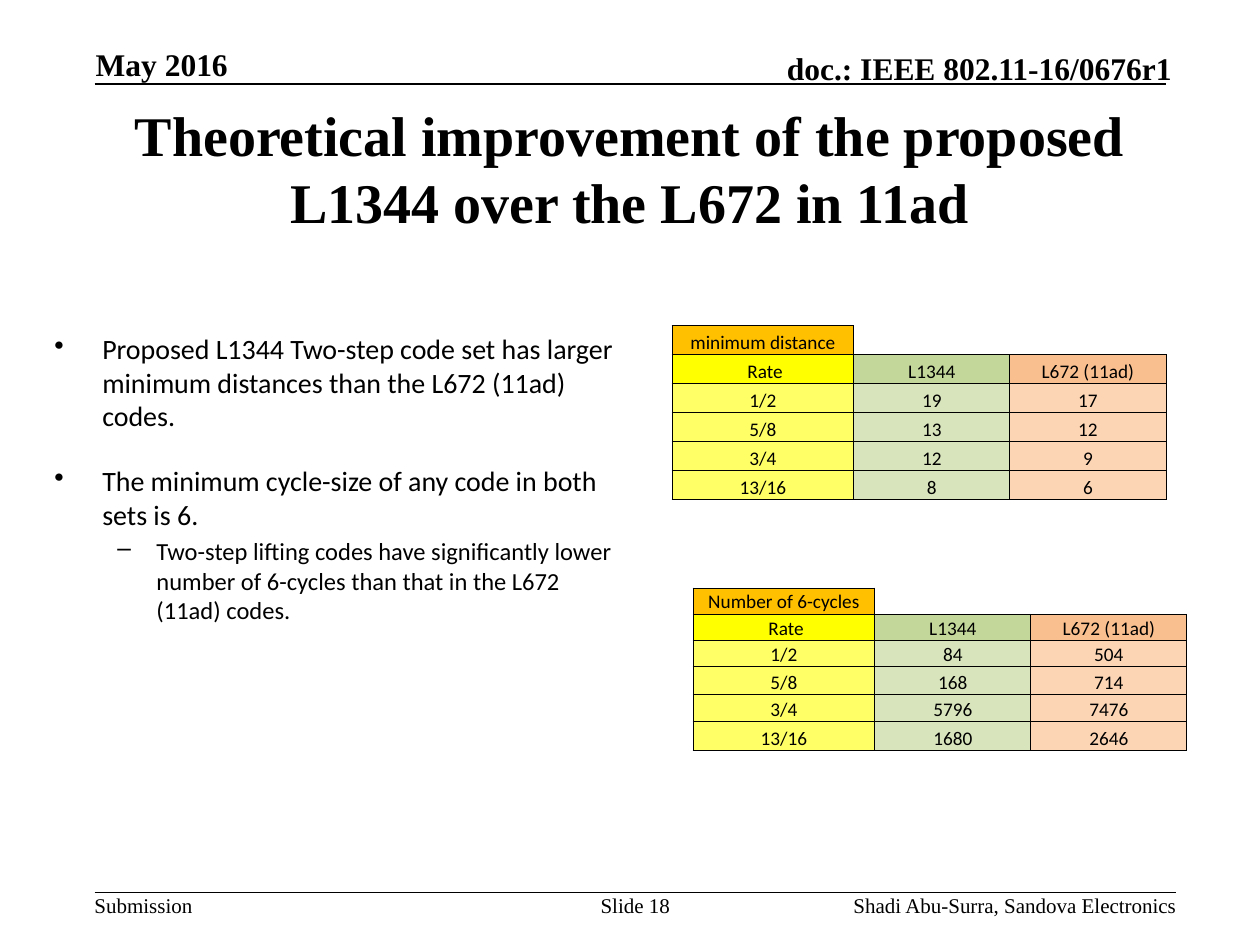
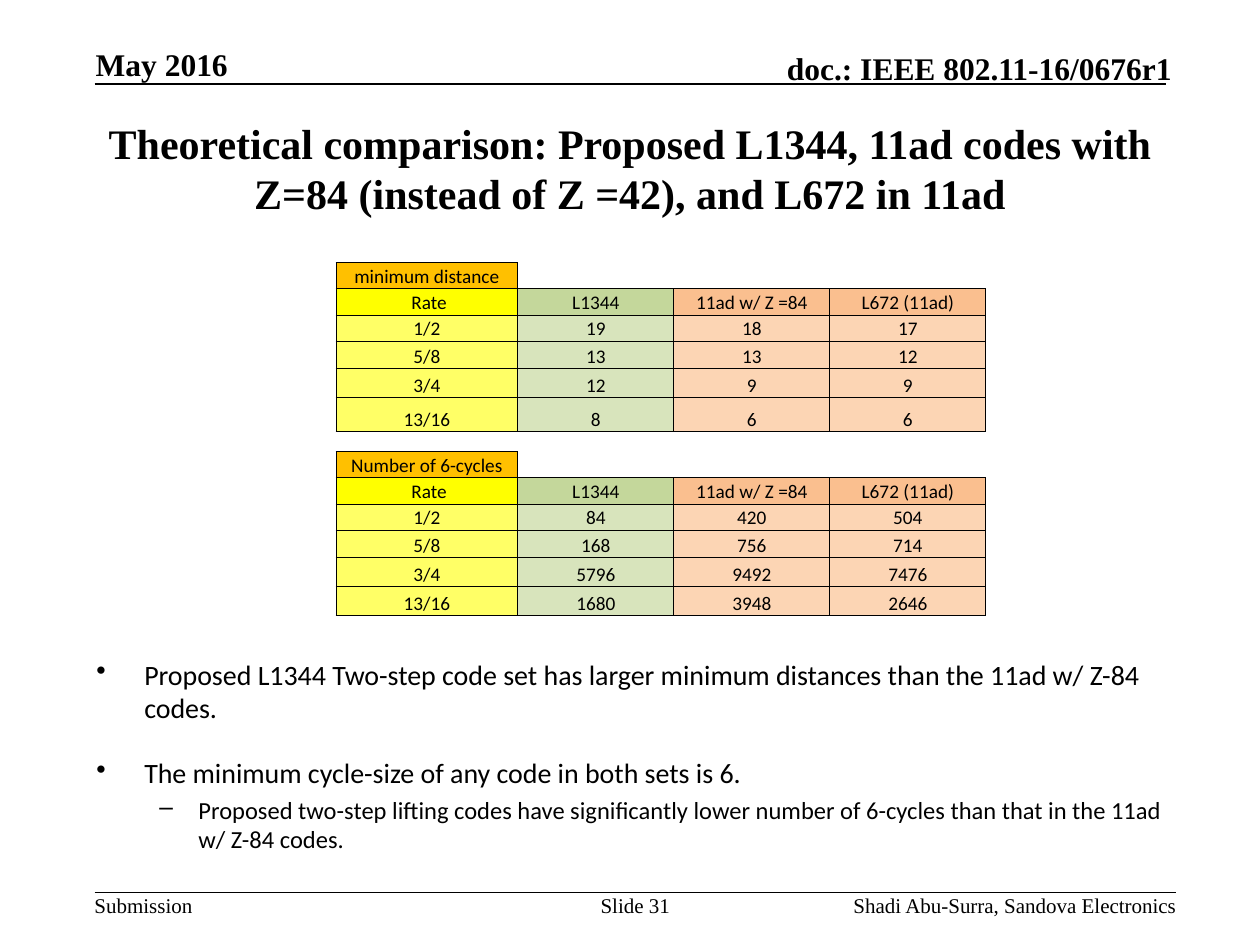
from dataclasses import dataclass

from lxml import etree
from pptx import Presentation
from pptx import util as u
from pptx.dml.color import RGBColor
from pptx.enum import shapes, text
from pptx.oxml.ns import qn

# Grid of 120 columns by 90 rows: one step is a twelfth of an inch.
COLS, ROWS = 120, 90
STEP = u.Inches(10) // COLS

SERIF, SANS = "Times New Roman", "Calibri"
BLACK = "000000"
CORNER_FILL = "FFC000"
RATE_FILLS = ("FFFF00", "FFFF66")  # heading cell, value cells
NEW_FILLS = ("C4D79B", "D8E4BC")
OLD_FILLS = ("FABF8F", "FCD5B4")
NO_STYLE = "{2D5ABB26-0587-4C30-8999-92F81FD0307C}"

LEFT, CENTER, RIGHT = text.PP_ALIGN.LEFT, text.PP_ALIGN.CENTER, text.PP_ALIGN.RIGHT
TOP, MIDDLE, BOTTOM = text.MSO_ANCHOR.TOP, text.MSO_ANCHOR.MIDDLE, text.MSO_ANCHOR.BOTTOM

RATES = ("1/2", "5/8", "3/4", "13/16")
RATE_WIDTH, CODE_WIDTH = 17.32, 14.86
LOW, MID, TALL = 2.5, 2.63, 2.76


@dataclass(frozen=True)
class Box:
    col: float
    row: float
    width: float
    height: float


@dataclass(frozen=True)
class Code:
    """One column of a comparison table."""
    name: str
    values: tuple[int, ...]
    fills: tuple[str, str] = OLD_FILLS


@dataclass(frozen=True)
class CodeTable:
    measure: str
    col: float
    row: float
    row_heights: tuple[float, ...]
    codes: tuple[Code, ...]


@dataclass(frozen=True)
class Bullet:
    text: str
    mark: str = "•"
    size: int = 16
    indent: float = 0.38
    hanging: float = 0.38
    before: float = 0


@dataclass(frozen=True)
class Page:
    number: int
    title: str
    title_size: int
    tables: tuple[CodeTable, ...]
    bullet_box: Box
    bullets: tuple[Bullet, ...]


def grid(steps: float) -> int:
    return u.Emu(round(steps * STEP))


def rgb(color: str) -> RGBColor:
    return RGBColor.from_string(color)


def write(p, words: str, size=12, font=SERIF, bold=False, align=LEFT, color=BLACK) -> None:
    p.alignment = align
    r = p.add_run()
    r.text = words
    r.font.size = u.Pt(size)
    r.font.name = font
    r.font.bold = bold
    r.font.color.rgb = rgb(color)


def add_frame(slide, box: Box, anchor=TOP, inset=(0.0, 0.0)):
    sp = slide.shapes.add_textbox(*map(grid, (box.col, box.row, box.width, box.height)))
    tf = sp.text_frame
    tf.word_wrap = True
    tf.vertical_anchor = anchor
    tf.margin_left = tf.margin_right = u.Inches(inset[0])
    tf.margin_top = tf.margin_bottom = u.Inches(inset[1])
    return tf


def add_text(slide, box: Box, words: str, anchor=TOP, **style) -> None:
    write(add_frame(slide, box, anchor).paragraphs[0], words, **style)


def add_rule(slide, start: float, end: float, row: float) -> None:
    line = slide.shapes.add_connector(
        shapes.MSO_CONNECTOR.STRAIGHT, grid(start), grid(row), grid(end), grid(row))
    line.line.color.rgb = rgb(BLACK)
    line.line.width = u.Pt(1)
    etree.SubElement(line._element.spPr, qn("a:effectLst"))


def add_bullets(slide, box: Box, bullets: tuple[Bullet, ...]) -> None:
    tf = add_frame(slide, box, inset=(0.1, 0.05))
    for i, bullet in enumerate(bullets):
        p = tf.add_paragraph() if i else tf.paragraphs[0]
        pPr = p._p.get_or_add_pPr()
        pPr.set("marL", str(u.Inches(bullet.indent)))
        pPr.set("indent", str(-u.Inches(bullet.hanging)))
        etree.SubElement(pPr, qn("a:buChar"), char=bullet.mark)
        if bullet.before:
            p.space_before = u.Pt(bullet.before)
        write(p, bullet.text, size=bullet.size, font=SANS)


def set_borders(cell, sides: str) -> None:
    """Rule the named sides (letters of LRTB) and clear the others."""
    tcPr = cell._tc.get_or_add_tcPr()
    for side in "LRTB":
        ln = etree.SubElement(tcPr, qn(f"a:ln{side}"), w=str(u.Pt(0.5)))
        if side in sides:
            fill = etree.SubElement(ln, qn("a:solidFill"))
            etree.SubElement(fill, qn("a:srgbClr"), val=BLACK)
        else:
            etree.SubElement(ln, qn("a:noFill"))


def fill_cell(cell, words: str, fill: str) -> None:
    set_borders(cell, "LRTB")
    cell.fill.solid()
    cell.fill.fore_color.rgb = rgb(fill)
    write(cell.text_frame.paragraphs[0], words, size=11, font=SANS, align=CENTER)


def clear_cell(cell, sides: str) -> None:
    set_borders(cell, sides)
    cell.fill.background()
    p = cell.text_frame.paragraphs[0]._p
    etree.SubElement(p, qn("a:endParaRPr"), sz="1100")


def add_code_table(slide, spec: CodeTable) -> None:
    widths = (RATE_WIDTH,) + (CODE_WIDTH,) * len(spec.codes)
    heights = spec.row_heights
    table = slide.shapes.add_table(
        len(heights), len(widths), grid(spec.col), grid(spec.row),
        grid(sum(widths)), grid(sum(heights))).table
    table.first_row = table.horz_banding = False
    table._tbl.tblPr.find(qn("a:tableStyleId")).text = NO_STYLE
    for column, width in zip(table.columns, widths):
        column.width = grid(width)
    for row, height in zip(table.rows, heights):
        row.height = grid(height)
    for cell in table.iter_cells():
        cell.margin_left = cell.margin_right = cell.margin_top = u.Inches(0.01)
        cell.margin_bottom = 0
        cell.vertical_anchor = BOTTOM

    fill_cell(table.cell(0, 0), spec.measure, CORNER_FILL)
    for c in range(1, len(widths)):
        clear_cell(table.cell(0, c), "LB" if c == 1 else "B")
    for c, code in enumerate((Code(" Rate", RATES, RATE_FILLS),) + spec.codes):
        heading_fill, value_fill = code.fills
        fill_cell(table.cell(1, c), code.name, heading_fill)
        for r, value in enumerate(code.values, start=2):
            fill_cell(table.cell(r, c), str(value), value_fill)


def add_header_and_footer(slide, number: int) -> None:
    add_rule(slide, 9, 111, 8)
    add_rule(slide, 9, 112, 85)
    head = dict(anchor=BOTTOM, size=18, bold=True)
    add_text(slide, Box(9.12, 4.3, 24.6, 3.6), "May 2016", **head)
    add_text(slide, Box(65.6, 4.65, 46, 3.6), "doc.: IEEE 802.11-16/0676r1", align=RIGHT, **head)
    add_text(slide, Box(9, 85, 12, 2.4), "Submission")
    add_text(slide, Box(57, 85, 7, 4.8), f"Slide {number}", align=CENTER)
    add_text(slide, Box(70.3, 85, 41.75, 2.4), "Shadi Abu-Surra, Sandova Electronics", align=RIGHT)


def add_page(prs, page: Page) -> None:
    slide = prs.slides.add_slide(prs.slide_layouts[6])
    add_header_and_footer(slide, page.number)
    title = add_frame(slide, Box(9, 9, 102, 13.92), MIDDLE, inset=(0.1, 0.05))
    write(title.paragraphs[0], page.title, size=page.title_size, bold=True, align=CENTER)
    for table in page.tables:
        add_code_table(slide, table)
    add_bullets(slide, page.bullet_box, page.bullets)


def comparison_bullets(distance: str, cycles: str) -> tuple[Bullet, ...]:
    return (
        Bullet(distance),
        Bullet("The minimum cycle-size of any code in both sets is 6.", before=18),
        Bullet(cycles, mark="–", size=14, indent=0.81, hanging=0.31, before=3),
    )


DISTANCE, CYCLES = "minimum distance", "Number of 6-cycles"
NEW_DISTANCE = Code("L1344", (19, 13, 12, 8), NEW_FILLS)
NEW_CYCLES = Code("L1344", (84, 168, 5796, 1680), NEW_FILLS)
Z84_DISTANCE = Code("11ad w/ Z =84", (18, 13, 9, 6))
Z84_CYCLES = Code("11ad w/ Z =84", (420, 756, 9492, 3948))
OLD_DISTANCE = Code("L672 (11ad)", (17, 12, 9, 6))
OLD_CYCLES = Code("L672 (11ad)", (504, 714, 7476, 2646))

PAGES = (
    Page(
        18, "Theoretical improvement of the proposed L1344 over the L672 in 11ad", 32,
        (
            CodeTable(DISTANCE, 64, 31, (TALL,) * 6, (NEW_DISTANCE, OLD_DISTANCE)),
            CodeTable(CYCLES, 66, 56, (LOW, LOW, LOW, MID, MID, TALL),
                      (NEW_CYCLES, OLD_CYCLES)),
        ),
        Box(4, 31, 57, 35),
        comparison_bullets(
            "Proposed L1344 Two-step code set has larger minimum distances than "
            "the L672 (11ad) codes.",
            "Two-step lifting codes have significantly lower number of 6-cycles than "
            "that in the L672 (11ad) codes."),
    ),
    Page(
        31, "Theoretical comparison: Proposed L1344, 11ad codes with Z=84 "
            "(instead of Z =42), and L672 in 11ad", 24,
        (
            CodeTable(DISTANCE, 32, 25, (LOW, LOW, LOW, MID, TALL, 3.24),
                      (NEW_DISTANCE, Z84_DISTANCE, OLD_DISTANCE)),
            CodeTable(CYCLES, 32, 43, (LOW, LOW, LOW, MID, TALL, TALL),
                      (NEW_CYCLES, Z84_CYCLES, OLD_CYCLES)),
        ),
        Box(8, 62, 104, 21),
        comparison_bullets(
            "Proposed L1344 Two-step code set has larger minimum distances than "
            "the 11ad w/ Z-84 codes.",
            "Proposed two-step lifting codes have significantly lower number of 6-cycles "
            "than that in the 11ad w/ Z-84 codes."),
    ),
)


def main() -> None:
    prs = Presentation()
    prs.slide_width, prs.slide_height = COLS * STEP, ROWS * STEP
    for page in PAGES:
        add_page(prs, page)
    prs.save("out.pptx")


if __name__ == "__main__":
    main()
